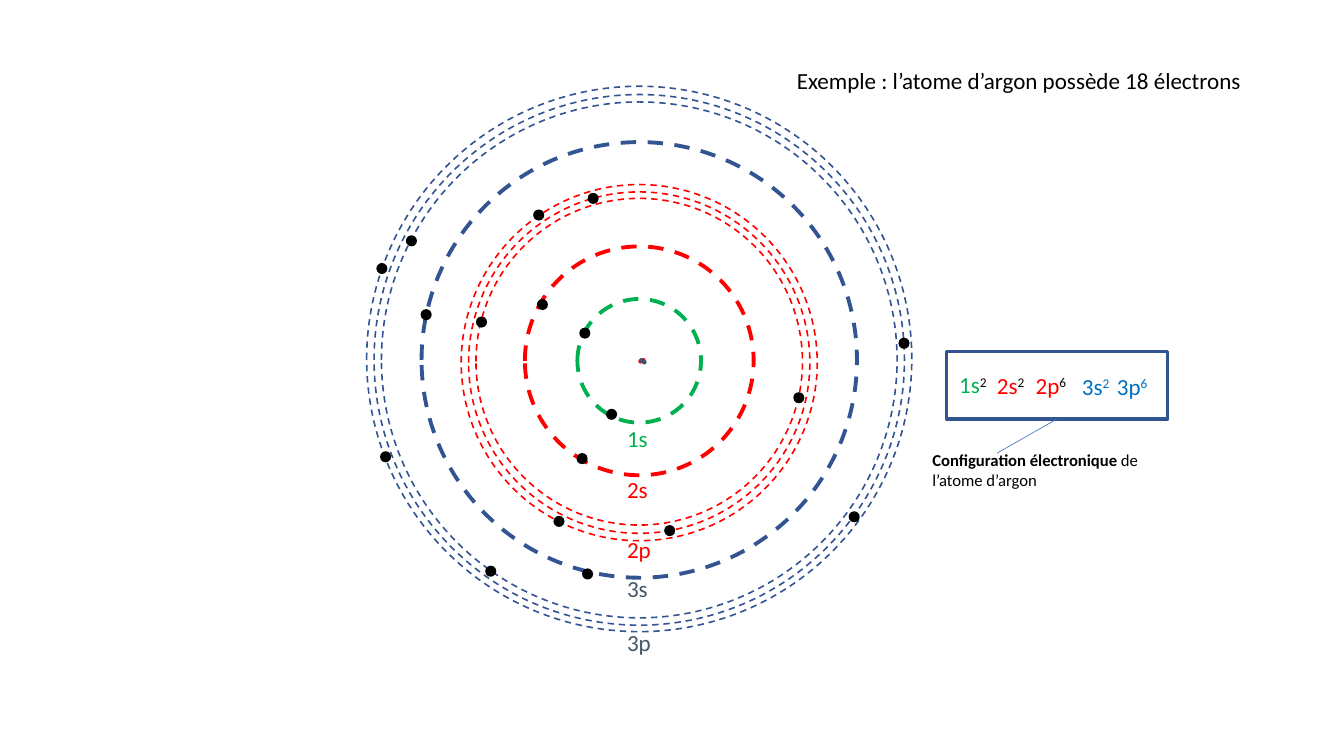
from pptx import Presentation
from pptx.dml.color import RGBColor
from pptx.enum.dml import MSO_LINE
from pptx.enum.shapes import MSO_CONNECTOR, MSO_SHAPE
from pptx.enum.text import MSO_AUTO_SIZE
from pptx.util import Inches, Pt
from lxml.etree import SubElement
from pptx.oxml.ns import qn

GREEN = RGBColor(0x00, 0xB0, 0x50)
RED = RGBColor(0xFF, 0x00, 0x00)
NAVY = RGBColor(0x32, 0x54, 0x91)
SLATE = RGBColor(0x44, 0x54, 0x6A)
AZURE = RGBColor(0x00, 0x70, 0xC0)
BLUE = RGBColor(0x44, 0x72, 0xC4)
BLACK = RGBColor(0x00, 0x00, 0x00)

deck = Presentation()
deck.slide_width = Inches(14.57)
deck.slide_height = Inches(8.03)
slide = deck.slides.add_slide(deck.slide_layouts[6])
shapes = slide.shapes


def add_form(kind, x, y, w, h, fill=None, line=None, width=1):
    form = shapes.add_shape(kind, Inches(x), Inches(y), Inches(w), Inches(h))
    form.shadow.inherit = False
    if fill is None:
        form.fill.background()
    else:
        form.fill.solid()
        form.fill.fore_color.rgb = fill
    if line is None:
        form.line.fill.background()
    else:
        form.line.color.rgb = line
        form.line.width = Pt(width)
    return form


def add_text(x, y, w, h, runs):
    box = shapes.add_textbox(Inches(x), Inches(y), Inches(w), Inches(h))
    frame = box.text_frame
    frame.word_wrap = True
    frame.auto_size = MSO_AUTO_SIZE.SHAPE_TO_FIT_TEXT
    for text, color, style in runs:
        run = frame.paragraphs[0].add_run()
        run.text = text
        run.font.color.rgb = color
        for name, value in ({"name": "Calibri", "size": Pt(18)} | style).items():
            setattr(run.font, name, value)
    return frame


mid = 6.93
rings = [
    (3.91, 1.34, GREEN, 3),
    (3.91, 2.48, RED, 3),
    (3.92, 3.54, RED, 1.25),
    (3.93, 3.86, RED, 1.25),
    (3.93, 3.7, RED, 1.25),
    (3.9, 4.72, NAVY, 3),
    (3.9, 5.59, NAVY, 1.25),
    (3.9, 5.75, NAVY, 1.25),
    (3.89, 5.91, NAVY, 1.25),
]
for level, size, color, width in rings:
    ring = add_form(MSO_SHAPE.OVAL, mid - size / 2, level - size / 2,
                    size, size, line=color, width=width)
    ring.line.dash_style = MSO_LINE.DASH

labels = [
    ("1s", 4.55, GREEN),
    ("2s", 5.1, RED),
    ("2p", 5.75, RED),
    ("3s", 6.18, SLATE),
    ("3p", 6.76, SLATE),
]
for text, y, color in labels:
    add_text(6.7, y, 0.47, 0.4, [(text, color, {})])

core = [(6.92, 3.89, RED), (6.95, 3.88, RED), (6.96, 3.9, SLATE), (6.93, 3.88, SLATE)]
for x, y, color in core:
    add_form(MSO_SHAPE.OVAL, x, y, 0.05, 0.05, fill=color)

electrons = {
    "1s": [(6.28, 3.55), (6.57, 4.43)],
    "2s": [(5.82, 3.24), (6.25, 4.91)],
    "2p": [(5.16, 3.43), (8.6, 4.25), (6.37, 2.09),
           (7.2, 5.69), (5.78, 2.27), (6, 5.59)],
    "3s": [(4.56, 3.35), (6.31, 6.16)],
    "3p": [(4.4, 2.55), (5.26, 6.13), (9.74, 3.66),
           (9.2, 5.54), (4.08, 2.85), (4.12, 4.89)],
}
for spots in electrons.values():
    for x, y in spots:
        add_form(MSO_SHAPE.OVAL, x, y, 0.12, 0.12, fill=BLACK)

add_text(8.54, 0.67, 5.41, 0.4,
         [("Exemple : l’atome d’argon possède 18 électrons", BLACK, {})])

terms = [
    ("1s", 10.3, 3.97, 0.53, GREEN, BLACK),
    ("2s", 10.71, 3.98, 0.53, RED, BLACK),
    ("2p", 11.13, 3.98, 0.6, RED, BLACK),
    ("3s", 11.63, 3.99, 0.59, AZURE, AZURE),
    ("3p", 12.01, 3.99, 0.59, AZURE, AZURE),
]
for shell, x, y, w, color, tint in terms:
    count = str(len(electrons[shell]))
    frame = add_text(x, y, w, 0.4, [(shell, color, {}), (count, tint, {})])
    power = frame.paragraphs[0].runs[1]
    power.font._element.set("baseline", "30000")

add_form(MSO_SHAPE.RECTANGLE, 10.26, 3.81, 2.4, 0.73, line=NAVY, width=2.75)

link = shapes.add_connector(MSO_CONNECTOR.STRAIGHT, Inches(11.46), Inches(4.54),
                            Inches(10.81), Inches(4.91))
link.line.color.rgb = BLUE
link.line.width = Pt(0.5)
SubElement(link._element.spPr, qn("a:effectLst"))

add_text(10.01, 4.83, 2.64, 0.54, [
    ("Configuration électronique ", BLACK, {"size": Pt(13), "bold": True}),
    ("de l’atome d’argon", BLACK, {"size": Pt(13)}),
])

deck.save("out.pptx")
